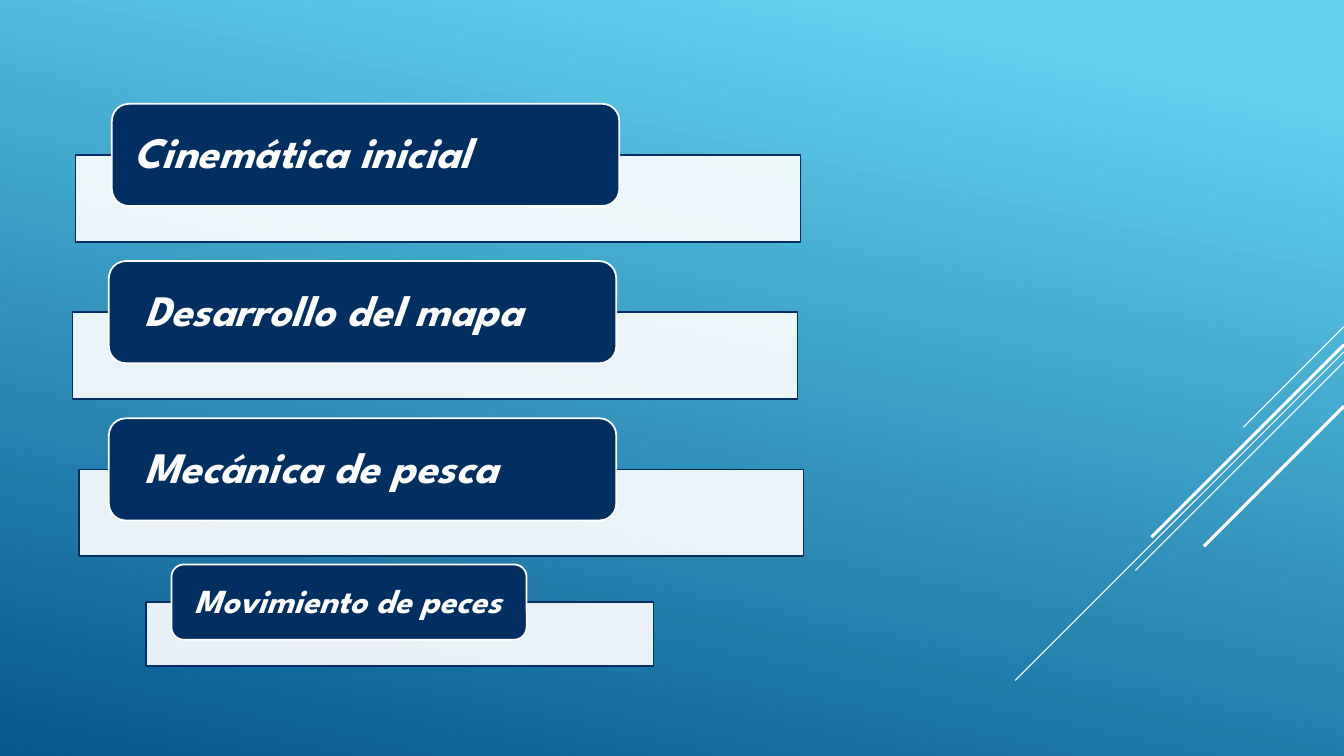
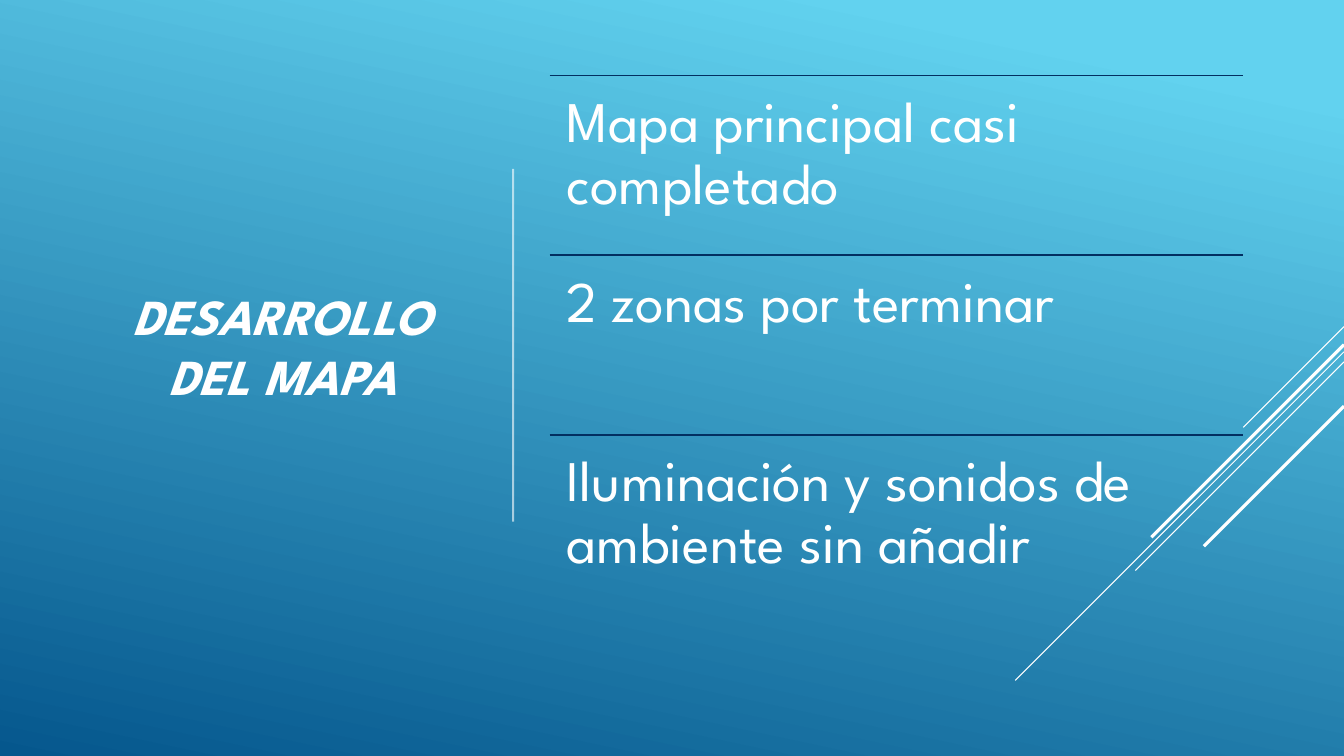
from lxml.etree import SubElement
from pptx import Presentation
from pptx.dml.color import RGBColor
from pptx.enum.shapes import MSO_CONNECTOR as Link, MSO_SHAPE as Kind
from pptx.enum.text import MSO_ANCHOR as Anchor, MSO_AUTO_SIZE as Fit, PP_ALIGN as Align
from pptx.oxml.ns import qn
from pptx.util import Inches, Pt

WIDE, HIGH = 13.33, 7.5
FONT = "League Spartan"
WHITE, NAVY = "FFFFFF", "022F61"
SKY, DEEP = "62D2EF", "05578D"

# Rays: top on the right edge, length across, line width
RAYS = [(3.24, 1, 0.75), (3.49, 3.26, 0.75), (3.59, 2.07, 0.75),
        (3.42, 1.91, 2.25), (4.03, 1.39, 2.25)]

# Cards: left, size share, tab shift, text inset, font size, label
CARDS = [(0.75, 1, 0.36, 0.17, 31, "Cinemática inicial"),
         (0.72, 1, 0.36, 0.3, 31, "Desarrollo del mapa"),
         (0.78, 1, 0.3, 0.3, 31, "Mecánica de pesca"),
         (1.45, 0.7, 0.25, 0.19, 24, "Movimiento de peces")]
TOP, STEP = 1.03, 1.56

TASKS = ["Mapa principal casi completado", "2 zonas por terminar",
         "Iluminación y sonidos de ambiente sin añadir"]


def color(code):
    return RGBColor.from_string(code)


def fade(fill, share):
    """Set the opacity of a solid fill, in percent."""
    tint = fill._xPr.find(qn("a:solidFill"))[0]
    SubElement(tint, qn("a:alpha")).set("val", str(share * 1000))


def line(slide, start, end, code, width):
    item = slide.shapes.add_connector(
        Link.STRAIGHT, *(Inches(n) for n in (*start, *end)))
    item.line.color.rgb = color(code)
    item.line.width = Pt(width)
    SubElement(item.element.spPr, qn("a:effectLst"))
    return item


def block(slide, kind, box, fill, edge):
    item = slide.shapes.add_shape(kind, *(Inches(n) for n in box))
    item.shadow.inherit = False
    item.fill.solid()
    item.fill.fore_color.rgb = color(fill)
    item.line.color.rgb = color(edge)
    item.line.width = Pt(1.25)
    return item


def write(shape, text, size, pads, anchor, align=Align.LEFT, space=0.9, strong=True):
    frame = shape.text_frame
    frame.word_wrap = True
    frame.auto_size = Fit.NONE
    frame.vertical_anchor = anchor
    (frame.margin_left, frame.margin_top,
     frame.margin_right, frame.margin_bottom) = (Inches(n) for n in pads)
    frame.text = text
    para = frame.paragraphs[0]
    para.alignment = align
    para.line_spacing = space
    font = para.runs[0].font
    font.name, font.size = FONT, Pt(size)
    font.bold = font.italic = strong
    font.color.rgb = color(WHITE)


def theme(deck):
    """Gradient background shared through the master."""
    fill = deck.slide_master.background.fill
    fill.gradient()
    fill.gradient_angle = 258
    for stop, place, code in zip(fill.gradient_stops, (0.1, 1), (SKY, DEEP)):
        stop.position = place
        stop.color.rgb = color(code)


def page(deck, layout):
    """New slide with the diagonal rays."""
    slide = deck.slides.add_slide(deck.slide_layouts[layout])
    for top, span, width in RAYS:
        line(slide, (WIDE, top), (WIDE - span, top + span), WHITE, width)
    return slide


def card(slide, box, shift, pad, size, text):
    """Pale bar with a navy tab over its upper part."""
    x, y, w, h = box
    bar = block(slide, Kind.RECTANGLE, (x, y + 0.37 * h, w, 0.63 * h), WHITE, NAVY)
    fade(bar.fill, 90)
    tab = block(slide, Kind.ROUNDED_RECTANGLE,
                (x + shift, y, 0.7 * w, 0.74 * h), NAVY, WHITE)
    write(tab, text, size, (pad, 0, 0, 0), Anchor.MIDDLE)


def tasks(slide, box):
    """Equal rows, each under a rule."""
    x, y, w, h = box
    row = h / len(TASKS)
    for i, text in enumerate(TASKS):
        top = y + i * row
        line(slide, (x, top), (x + w, top), NAVY, 1.25)
        area = slide.shapes.add_textbox(*(Inches(n) for n in (x, top, w, row)))
        write(area, text, 41, (0.17,) * 4, Anchor.TOP, strong=False)


def heading(slide, box, text):
    """Centred title with a pale rule to its right."""
    x, y, w, h = box
    title = slide.shapes.title
    title.left, title.top, title.width, title.height = (Inches(n) for n in box)
    write(title, text, 36, (0.1, 0.05, 0.1, 0.05), Anchor.MIDDLE, Align.CENTER, 1)
    edge, mid = x + w + 0.24, y + h / 2
    rule = line(slide, (edge, mid - 1.75), (edge, mid + 1.75), WHITE, 1.5)
    fade(rule.line.fill, 60)


def agenda(deck):
    slide = page(deck, 6)
    for i, (left, share, *rest) in enumerate(CARDS):
        # The last, smaller card sits a little higher than the step
        top = TOP + i * STEP - (0.11 if share < 1 else 0)
        height = 1.37 if share == 1 else 1.01
        card(slide, (left, top, 7.19 * share, height), *rest)


def status(deck):
    slide = page(deck, 5)
    heading(slide, (0.75, 0.75, 4.1, 5.35), "DESARROLLO DEL MAPA")
    tasks(slide, (5.45, 0.75, 6.88, 5.35))


def main():
    deck = Presentation()
    deck.slide_width, deck.slide_height = Inches(WIDE), Inches(HIGH)
    theme(deck)
    agenda(deck)
    status(deck)
    deck.save("out.pptx")


if __name__ == "__main__":
    main()
